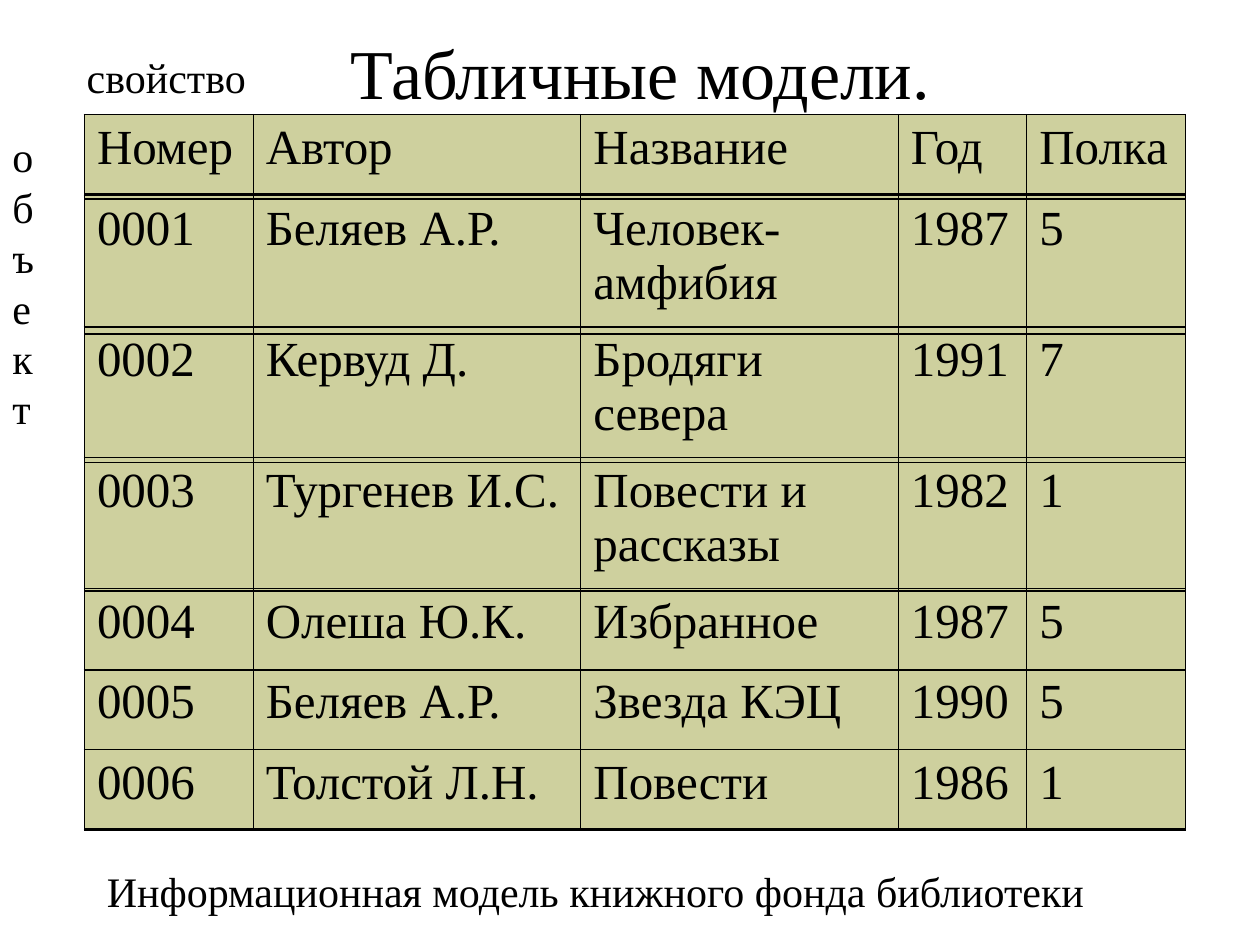
"""Build the slide about table models with a library book table."""
from dataclasses import dataclass
from itertools import accumulate

from lxml.etree import SubElement
from pptx import Presentation
from pptx.dml.color import RGBColor
from pptx.enum.shapes import MSO_SHAPE as Shape
from pptx.enum.text import MSO_ANCHOR as Anchor
from pptx.enum.text import MSO_AUTO_SIZE as AutoSize
from pptx.enum.text import PP_ALIGN as Align
from pptx.oxml.ns import qn
from pptx.util import Inches, Pt

GRID_UNIT = Inches(0.1)
SLIDE_COLUMNS, SLIDE_ROWS = 100, 75
BLACK = RGBColor(0, 0, 0)
OLIVE = RGBColor(0xCE, 0xD0, 0x9E)
FONT = "Times New Roman"
OUTER_LINE, INNER_LINE = Pt(1.08), Pt(0.45)

TABLE_LEFT, TABLE_TOP = 6.7, 9.1
TABLE_WIDTH, TABLE_HEIGHT = 87.4, 56.7
COLUMN_WIDTHS = (13.4, 26, 25.2, 10.2, 12.6)
ROW_HEIGHTS = (6.4, 10.4, 10.4, 10.4, 6.4, 6.4, 6.4)
BAND_TOPS = (15.8, 26.5, 36.7, 46.9, 53.2, 59.5, TABLE_TOP)
BAND_HEIGHTS = (10.2, 10.2, 10.2, 6.3, 6.3, 6.3, 6.3)

BOOKS = (
    ("Номер", "Автор", "Название", "Год", "Полка"),
    ("0001", "Беляев А.Р.", "Человек-амфибия", "1987", "5"),
    ("0002", "Кервуд Д.", "Бродяги севера", "1991", "7"),
    ("0003", "Тургенев И.С.", "Повести и рассказы", "1982", "1"),
    ("0004", "Олеша Ю.К.", "Избранное", "1987", "5"),
    ("0005", "Беляев А.Р.", "Звезда КЭЦ", "1990", "5"),
    ("0006", "Толстой Л.Н.", "Повести", "1986", "1"),
)


@dataclass(frozen=True)
class Area:
    """A place on the slide, in grid columns and rows."""

    column: float
    row: float
    columns: float
    rows: float

    def lengths(self) -> tuple[int, ...]:
        """Return left, top, width and height."""
        return tuple(map(grid, (self.column, self.row, self.columns, self.rows)))


@dataclass(frozen=True)
class Label:
    """A caption and its place."""

    text: str
    area: Area


LABELS = (
    Label("Информационная модель книжного фонда библиотеки", Area(7.5, 68.2, 86.6, 5)),
    Label("свойство", Area(5.9, 3.6, 21.3, 5)),
    Label("объект", Area(0, 9.9, 4.3, 25)),
)


def grid(count: float) -> int:
    """Return the length of a number of grid units."""
    return round(count * GRID_UNIT)


def write(frame, text: str, size: int) -> None:
    """Write one black run into the first paragraph of a text frame."""
    span = frame.paragraphs[0].add_run()
    span.text = text
    span.font.name = FONT
    span.font.size = Pt(size)
    span.font.color.rgb = BLACK


def draw_band(page, area: Area) -> None:
    """Draw one filled strip behind the table."""
    band = page.shapes.add_shape(Shape.RECTANGLE, *area.lengths())
    band.shadow.inherit = False
    band.fill.solid()
    band.fill.fore_color.rgb = OLIVE
    band.line.color.rgb = BLACK
    band.line.width = Pt(0.75)


def draw_title(page, text: str, area: Area) -> None:
    """Place the title in front of the strips and fill it."""
    title = page.shapes.title
    title.left, title.top, title.width, title.height = area.lengths()
    frame = title.text_frame
    frame.vertical_anchor = Anchor.MIDDLE
    frame.auto_size = AutoSize.NONE
    write(frame, text, 40)
    frame.paragraphs[0].alignment = Align.CENTER
    page.shapes._spTree.append(title._element)


def draw_label(page, label: Label) -> None:
    """Draw one caption."""
    box = page.shapes.add_textbox(*label.area.lengths())
    box.text_frame.word_wrap = True
    box.text_frame.auto_size = AutoSize.SHAPE_TO_FIT_TEXT
    write(box.text_frame, label.text, 24)


def set_borders(cell, outer_sides: dict[str, bool]) -> None:
    """Draw the four cell borders, thicker on the outer sides."""
    properties = cell._tc.get_or_add_tcPr()
    for index, (side, outer) in enumerate(outer_sides.items()):
        width = OUTER_LINE if outer else INNER_LINE
        border = SubElement(properties, qn(f"a:ln{side}"), w=str(int(width)))
        fill = SubElement(border, qn("a:solidFill"))
        SubElement(fill, qn("a:srgbClr"), val=str(BLACK))
        properties.insert(index, border)


def draw_table(page, area: Area) -> None:
    """Draw the book table without cell fills."""
    row_count, column_count = len(BOOKS), len(COLUMN_WIDTHS)
    table = page.shapes.add_table(row_count, column_count, *area.lengths()).table
    table.first_row = table.horz_banding = False
    for column, width in zip(table.columns, COLUMN_WIDTHS):
        column.width = grid(width)
    for row, height in zip(table.rows, ROW_HEIGHTS):
        row.height = grid(height)
    for row, book in enumerate(BOOKS):
        for column, text in enumerate(book):
            cell = table.cell(row, column)
            cell.fill.background()
            set_borders(cell, {
                "L": column == 0,
                "R": column == column_count - 1,
                "T": row == 0,
                "B": row == row_count - 1,
            })
            write(cell.text_frame, text, 28)


def main() -> None:
    """Build and save the deck."""
    deck = Presentation()
    deck.slide_width, deck.slide_height = grid(SLIDE_COLUMNS), grid(SLIDE_ROWS)
    page = deck.slides.add_slide(deck.slide_layouts[5])
    for left, width in zip(accumulate(COLUMN_WIDTHS, initial=TABLE_LEFT), COLUMN_WIDTHS):
        draw_band(page, Area(left, TABLE_TOP, width, TABLE_HEIGHT))
    for top, height in zip(BAND_TOPS, BAND_HEIGHTS):
        draw_band(page, Area(TABLE_LEFT, top, TABLE_WIDTH, height))
    draw_title(page, "Табличные модели.", Area(8.3, 2.1, 85, 7.1))
    draw_table(page, Area(TABLE_LEFT, TABLE_TOP, TABLE_WIDTH, TABLE_HEIGHT))
    for label in LABELS:
        draw_label(page, label)
    deck.save("out.pptx")


if __name__ == "__main__":
    main()
